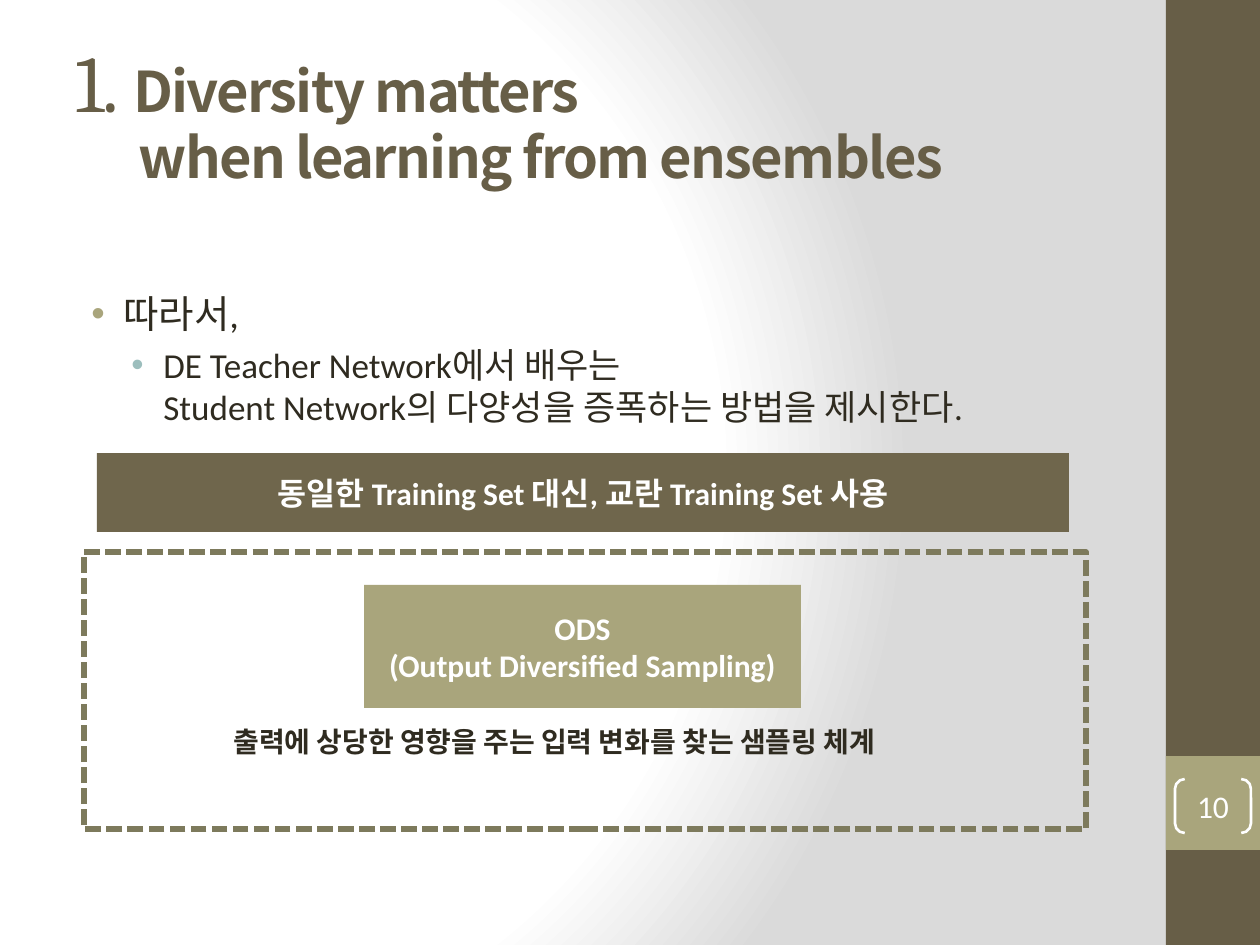
"""Builds the slide on diversity when learning from ensembles."""
import pptx
import pptx.dml.color
import pptx.enum.dml
import pptx.enum.shapes
import pptx.enum.text
import pptx.oxml
import pptx.oxml.ns
import pptx.util

RGB = pptx.dml.color.RGBColor
SHAPE = pptx.enum.shapes.MSO_SHAPE
ALIGN = pptx.enum.text.PP_ALIGN
MIDDLE = pptx.enum.text.MSO_ANCHOR.MIDDLE
WHITE = RGB(0xFF, 0xFF, 0xFF)
BROWN = RGB(0x67, 0x5E, 0x47)
BANNER_BROWN = RGB(0x6F, 0x66, 0x4C)
KHAKI = RGB(0xA9, 0xA5, 0x7C)
TEAL = RGB(0x9C, 0xBE, 0xBD)
OLIVE = RGB(0x7D, 0x7A, 0x5C)
INK = RGB(0x2F, 0x2B, 0x20)
GREY = RGB(0xDA, 0xDA, 0xDA)
EMU_PER_PX = 914400 / 126


def px(length):
    return pptx.util.Emu(round(length * EMU_PER_PX))


def box(*lengths):
    return [px(length) for length in lengths]


def element(tag, body):
    return pptx.oxml.parse_xml(f"<a:{tag} {pptx.oxml.ns.nsdecls('a')} {body}")


def style(font, size, color, bold=False, face="Calibri"):
    font.size = pptx.util.Pt(size)
    font.color.rgb = color
    font.bold = bold
    font.name = face


def paint_background(slide):
    fill = slide.background.fill
    fill.solid()
    fill.fore_color.rgb = WHITE
    stops = "".join(
        f'<a:gs pos="{position}000"><a:srgbClr val="{color}"/></a:gs>'
        for position, color in ((0, WHITE), (75, WHITE), (100, GREY)))
    gradient = element(
        "gradFill",
        f'rotWithShape="1"><a:gsLst>{stops}</a:gsLst><a:path path="circle">'
        '<a:fillToRect l="20000" t="50000" r="100000" b="50000"/></a:path></a:gradFill>')
    solid = slide.background._cSld.find(".//" + pptx.oxml.ns.qn("a:solidFill"))
    solid.getparent().replace(solid, gradient)


def add_panel(slide, bounds, fill=None, line=None, width=1, kind=SHAPE.RECTANGLE):
    panel = slide.shapes.add_shape(kind, *box(*bounds))
    panel.shadow.inherit = False
    if fill is None:
        panel.fill.background()
    else:
        panel.fill.solid()
        panel.fill.fore_color.rgb = fill
    if line is None:
        panel.line.fill.background()
    else:
        panel.line.color.rgb = line
        panel.line.width = pptx.util.Pt(width)
    return panel


def write_label(panel, text, bold=True):
    frame = panel.text_frame
    frame.text = text
    frame.word_wrap = True
    frame.vertical_anchor = MIDDLE
    for paragraph in frame.paragraphs:
        paragraph.alignment = ALIGN.CENTER
        style(paragraph.font, 18, WHITE, bold)


def write_title(slide):
    title = slide.shapes.title
    title.left, title.top, title.width, title.height = box(63, 38, 1050, 157)
    frame = title.text_frame
    frame.vertical_anchor = MIDDLE
    frame.auto_size = pptx.enum.text.MSO_AUTO_SIZE.NONE
    heading = frame.paragraphs[0]
    heading.text = "1. "
    heading.alignment = ALIGN.LEFT
    heading.line_spacing = 0.9
    heading.add_run().text = "Diversity matters"
    heading.add_line_break()
    heading.add_run().text = "\twhen learning from ensembles"
    number, *words = heading.runs
    style(number.font, 46, BROWN, face="Cambria")
    for run in words:
        style(run.font, 32, BROWN, True, "Noto Sans CJK KR")
    for run in heading.runs:
        run._r.get_or_add_rPr().set("spc", "-100")


def add_text(slide, bounds):
    frame = slide.shapes.add_textbox(*box(*bounds)).text_frame
    frame.word_wrap = True
    return frame


def write_bullet(paragraph, text, level, size, margin, color):
    paragraph.text = text
    paragraph.level = level
    paragraph.space_before = pptx.util.Pt(size * 0.2)
    style(paragraph.font, size, INK)
    properties = paragraph._p.get_or_add_pPr()
    properties.set("marL", str(px(margin)))
    properties.set("indent", str(px(-32)))
    defaults = properties.find(pptx.oxml.ns.qn("a:defRPr"))
    defaults.addprevious(element("buClr", f'><a:srgbClr val="{color}"/></a:buClr>'))
    defaults.addprevious(element("buFont", 'typeface="Arial"/>'))
    defaults.addprevious(element("buChar", 'char="•"/>'))


def add_page_number(slide):
    bracket = add_panel(slide, (1175, 779, 76, 54), line=WHITE, width=1.5,
                        kind=SHAPE.DOUBLE_BRACKET)
    bracket.adjustments[0] = 0.18
    write_label(bracket, "10", bold=False)
    frame = bracket.text_frame
    frame.margin_left = frame.margin_right = frame.margin_top = frame.margin_bottom = 0


def main():
    deck = pptx.Presentation()
    deck.slide_width, deck.slide_height = box(1260, 945)
    slide = deck.slides.add_slide(deck.slide_layouts[5])
    paint_background(slide)
    add_panel(slide, (1166, 0, 94, 945), BROWN)
    add_panel(slide, (1166, 756, 94, 94), KHAKI)
    write_title(slide)
    add_page_number(slide)

    summary = add_text(slide, (63, 284, 1050, 598))
    write_bullet(summary.paragraphs[0], "따라서,", 0, 22, 48, KHAKI)
    write_bullet(summary.add_paragraph(),
                 "DE Teacher Network에서 배우는\v"
                 "Student Network의 다양성을 증폭하는 방법을 제시한다.", 1, 20, 88, TEAL)

    training = add_panel(slide, (97, 453, 972, 79), BANNER_BROWN)
    write_label(training, "동일한 Training Set 대신, 교란 Training Set 사용")
    sampling = add_panel(slide, (364, 585, 437, 123), KHAKI)
    write_label(sampling, "ODS\n(Output Diversified Sampling)")

    definition = add_text(slide, (221, 718, 725, 47)).paragraphs[0]
    definition.text = "출력에 상당한 영향을 주는 입력 변화를 찾는 샘플링 체계"
    style(definition.font, 16, INK, True)

    frame = add_panel(slide, (84, 552, 1002, 277), line=OLIVE, width=3)
    frame.line.dash_style = pptx.enum.dml.MSO_LINE.SQUARE_DOT
    deck.save("out.pptx")


if __name__ == "__main__":
    main()
